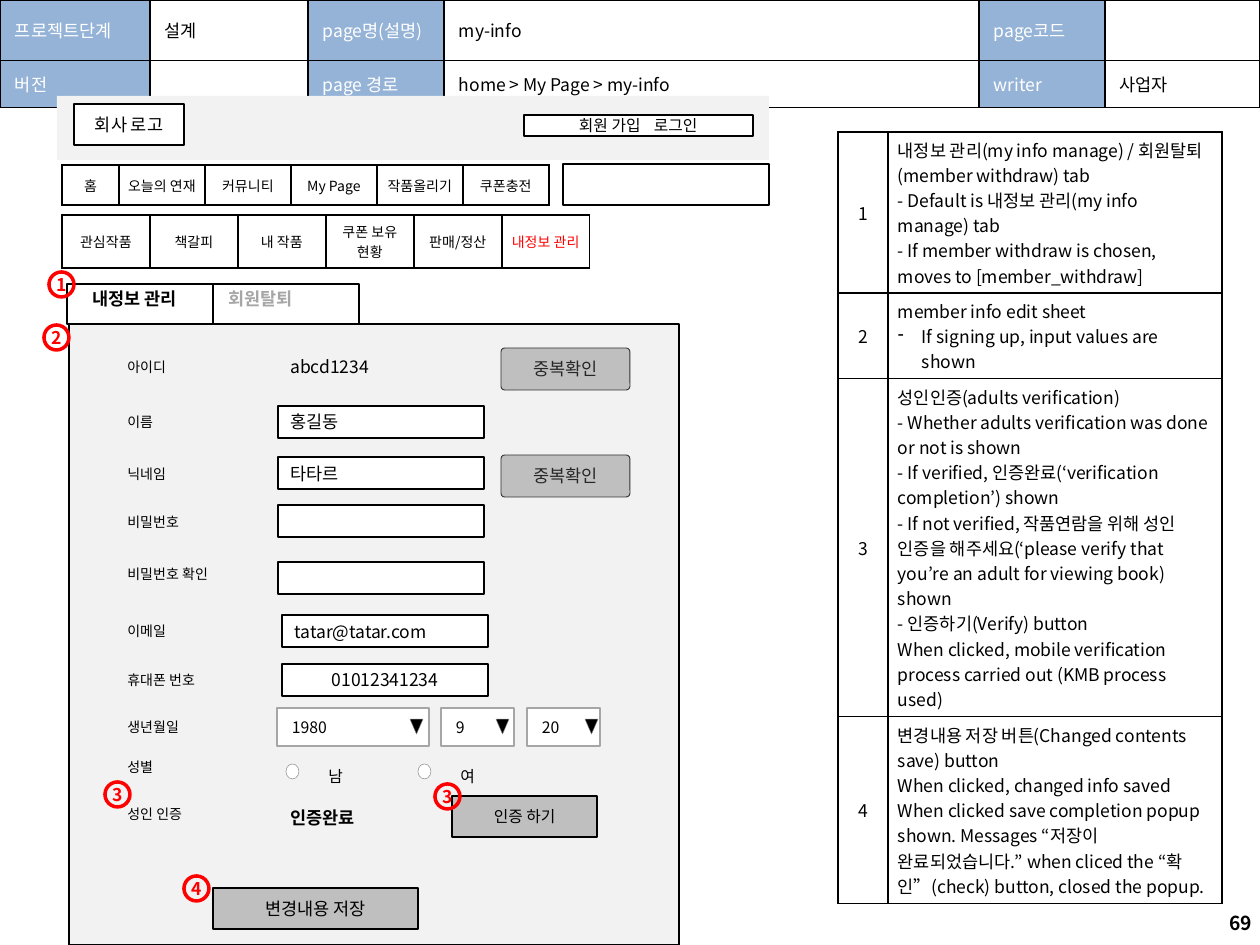
from lxml import etree
from pptx import Presentation
from pptx import util as u
from pptx.dml.color import RGBColor
from pptx.enum import shapes, text
from pptx.oxml import ns

SCALE = 914400 / 126
FONT = "Noto Sans CJK KR"
BLACK = RGBColor(0x00, 0x00, 0x00)
WHITE = RGBColor(0xFF, 0xFF, 0xFF)
RED = RGBColor(0xFF, 0x00, 0x00)
BLUE = RGBColor(0x95, 0xB3, 0xD7)
PANEL = RGBColor(0xF2, 0xF2, 0xF2)
BUTTON = RGBColor(0xBF, 0xBF, 0xBF)
MUTED = RGBColor(0xA6, 0xA6, 0xA6)
RADIO_LINE = RGBColor(0x80, 0x80, 0x80)
CHECK_LINE = RGBColor(0x33, 0x33, 0x33)
CHECK_TEXT = RGBColor(0x26, 0x26, 0x26)
LEFT, CENTER, RIGHT = (text.PP_ALIGN.LEFT, text.PP_ALIGN.CENTER, text.PP_ALIGN.RIGHT)
MIDDLE, TOP = text.MSO_ANCHOR.MIDDLE, text.MSO_ANCHOR.TOP
KIND = shapes.MSO_SHAPE

NOTES = [
    ["내정보 관리(my info manage) / 회원탈퇴(member withdraw) tab",
     "- Default is 내정보 관리(my info manage) tab",
     "- If member withdraw is chosen, moves to [member_withdraw]"],
    ["member info edit sheet", "If signing up, input values are shown"],
    ["성인인증(adults verification)",
     "- Whether adults verification was done or not is shown",
     "- If verified, 인증완료(‘verification completion’) shown",
     "- If not verified, 작품연람을 위해 성인 인증을 해주세요"
     "(‘please verify that you’re an adult for viewing book) shown",
     "- 인증하기(Verify) button",
     "When clicked, mobile verification process carried out (KMB process used)"],
    ["변경내용 저장 버튼(Changed contents save) button",
     "When clicked, changed info saved",
     "When clicked save completion popup shown. Messages “저장이 완료되었습니다.” "
     "when cliced the “확인”(check) button, closed the popup."],
]


def px(length):
    return u.Emu(round(length * SCALE))


def apply(target, values):
    for name, value in values.items():
        setattr(target, name, value)


def margins(across, down):
    return {"margin_left": px(across), "margin_right": px(across),
            "margin_top": px(down), "margin_bottom": px(down)}


def write(frame, lines, size=10, color=BLACK, bold=False, align=LEFT, latin=FONT, spacing=None):
    """Fill a text frame, one paragraph for each line."""
    lines = [lines] if isinstance(lines, str) else lines
    for index, line in enumerate(lines):
        paragraph = frame.add_paragraph() if index else frame.paragraphs[0]
        apply(paragraph, {"alignment": align, "line_spacing": spacing})
        if not line:
            etree.SubElement(paragraph._p, ns.qn("a:endParaRPr"), sz=str(size * 100))
            continue
        run = paragraph.add_run()
        run.text = line
        apply(run.font, {"size": u.Pt(size), "bold": bold, "name": latin})
        run.font.color.rgb = color
        etree.SubElement(run._r.get_or_add_rPr(), ns.qn("a:ea"), typeface=FONT)


def add_box(slide, box, lines="", kind=KIND.RECTANGLE, fill=WHITE, line=BLACK, width=1,
            frame_format=None, **style):
    shape = slide.shapes.add_shape(kind, *map(px, box))
    shape.shadow.inherit = False
    if fill is None:
        shape.fill.background()
    else:
        shape.fill.solid()
        shape.fill.fore_color.rgb = fill
    if line is None:
        shape.line.fill.background()
    else:
        shape.line.color.rgb = line
        shape.line.width = u.Pt(width)
    if lines:
        apply(shape.text_frame, {"word_wrap": True, "vertical_anchor": MIDDLE, **(frame_format or {})})
        write(shape.text_frame, lines, **style)
    return shape


def add_label(slide, box, lines, frame_format=None, **style):
    frame = slide.shapes.add_textbox(*map(px, box)).text_frame
    apply(frame, {"word_wrap": True, "vertical_anchor": MIDDLE, **(frame_format or {})})
    write(frame, lines, **style)


def add_grid(slide, left, top, widths, heights, cell_margins):
    """Add a table with plain black borders and return it."""
    box = (left, top, sum(widths), sum(heights))
    table = slide.shapes.add_table(len(heights), len(widths), *map(px, box)).table
    apply(table, {"first_row": False, "horz_banding": False})
    for column, width in zip(table.columns, widths):
        column.width = px(width)
    for row, height in zip(table.rows, heights):
        row.height = px(height)
    for cell in table.iter_cells():
        apply(cell, {**cell_margins, "vertical_anchor": MIDDLE})
        for side in ("lnL", "lnR", "lnT", "lnB"):
            border = etree.SubElement(cell._tc.get_or_add_tcPr(), ns.qn(f"a:{side}"), w="12700")
            solid = etree.SubElement(border, ns.qn("a:solidFill"))
            etree.SubElement(solid, ns.qn("a:srgbClr"), val=str(BLACK))
        cell.fill.background()
    return table


def add_page_header(slide, left, top):
    rows = [["프로젝트단계", "설계", "page명(설명)", "my-info", "page코드", ""],
            ["버전", "", "page 경로", "home > My Page > my-info", "writer", "사업자"]]
    table = add_grid(slide, left, top, [150, 158, 136, 535, 126, 155], [60, 47], margins(15, 5))
    for row, values in enumerate(rows):
        for column, value in enumerate(values):
            cell = table.cell(row, column)
            heading = column % 2 == 0
            if heading:
                cell.fill.solid()
                cell.fill.fore_color.rgb = BLUE
            write(cell.text_frame, value, color=WHITE if heading else BLACK)


def add_notes(slide, left, top):
    table = add_grid(slide, left, top, [50, 334], [161, 85, 338, 187], margins(10, 5))
    for row, lines in enumerate(NOTES):
        write(table.cell(row, 0).text_frame, str(row + 1), align=CENTER)
        write(table.cell(row, 1).text_frame, lines)
    properties = table.cell(1, 1).text_frame.paragraphs[1]._p.get_or_add_pPr()
    apply_indent = {"marL": px(24), "indent": px(-24)}
    for name, value in apply_indent.items():
        properties.set(name, str(value))
    etree.SubElement(properties, ns.qn("a:buChar"), char="-")


def add_menu(slide, left, top, widths, height, items, selected=None):
    table = add_grid(slide, left, top, widths, [height], margins(5, 6))
    for cell, item in zip(table.iter_cells(), items):
        cell.fill.solid()
        cell.fill.fore_color.rgb = WHITE
        write(cell.text_frame, item, size=8, align=CENTER, color=RED if item == selected else BLACK)


def add_site_header(slide, left, top):
    add_box(slide, (left, top, 712, 64), fill=PANEL, line=None)
    add_box(slide, (left + 17, top + 8, 110, 41), "회사 로고", align=CENTER)
    login = add_box(slide, (left + 467, top + 19, 229, 21), "회원 가입\t로그인", size=9,
                    frame_format={"margin_left": px(55), "margin_right": 0})
    properties = login.text_frame.paragraphs[0]._p.get_or_add_pPr()
    tabs = etree.SubElement(properties, ns.qn("a:tabLst"))
    etree.SubElement(tabs, ns.qn("a:tab"), pos=str(px(75)), algn="l")
    add_box(slide, (left + 506, top + 68, 206, 41))
    add_menu(slide, left + 5, top + 69, [57] + [86] * 5, 40,
             ["홈", "오늘의 연재", "커뮤니티", "My Page", "작품올리기", "쿠폰충전"])
    add_menu(slide, left + 5, top + 119, [88] * 6, 53,
             ["관심작품", "책갈피", "내 작품", ["쿠폰 보유", "현황"], "판매/정산", "내정보 관리"],
             selected="내정보 관리")


def add_tabs(slide, left, top):
    for offset, indent, name, color in [(0, 15, "내정보 관리", BLACK), (146, 5, "회원탈퇴", MUTED)]:
        add_box(slide, (left + offset, top, 146, 40), fill=None)
        add_label(slide, (left + offset + indent, top, 270, 29), name, margins(10, 5),
                  color=color, bold=True)


def add_form(slide, left, top):
    def at(x, y, width, height):
        return left + x, top + y, width, height

    add_box(slide, at(0, 0, 610, 621), fill=PANEL)
    labels = [("아이디", 28), ("이름", 83), ("닉네임", 135), ("비밀번호", 183), ("비밀번호 확인", 235),
              ("이메일", 292), ("휴대폰 번호", 341), ("생년월일", 388), ("성별", 428), ("성인 인증", 475)]
    for name, y in labels:
        add_label(slide, at(46, y, 238, 30), name, {"vertical_anchor": TOP}, size=8)
    fields = [("홍길동", 209, 82, LEFT), ("타타르", 209, 133, LEFT), ("", 209, 181, LEFT),
              ("", 209, 238, LEFT), ("tatar@tatar.com", 213, 291, LEFT),
              ("01012341234", 213, 340, CENTER)]
    for value, x, y, align in fields:
        add_box(slide, at(x, y, 206, 32), value, align=align)
    for value, y, bold in [("abcd1234", 26, False), ("인증완료", 477, True)]:
        add_label(slide, at(209, y, 206, 32), value, bold=bold)
    for y in (24, 131):
        button = add_box(slide, at(432, y, 129, 42), "중복확인", KIND.ROUNDED_RECTANGLE, BUTTON,
                         CHECK_LINE, 0.5, color=CHECK_TEXT, align=CENTER, latin="Calibri")
        button.adjustments[0] = 0.09
    for value, x, width, arrow in [("1980", 208, 152, 133), ("9", 372, 73, 55), ("20", 458, 73, 58)]:
        add_box(slide, at(x, 384, width, 38), value, line=MUTED, size=9, frame_format=margins(15, 0))
        triangle = add_box(slide, at(x + arrow, 395, 13, 15), kind=KIND.ISOSCELES_TRIANGLE,
                           fill=BLACK, line=RADIO_LINE, width=0.25)
        triangle.rotation = 180
    for value, x in [("남", 217), ("여", 349)]:
        add_box(slide, at(x, 440, 13, 15), kind=KIND.OVAL, line=RADIO_LINE, width=0.25)
        add_label(slide, at(x + 30, 427, 35, 38), value,
                  {"word_wrap": False, "vertical_anchor": TOP}, size=9, spacing=1.5)
    add_box(slide, at(383, 472, 145, 41), "인증 하기", fill=BUTTON, size=9, align=CENTER)
    add_box(slide, at(144, 564, 205, 41), "변경내용 저장", fill=BUTTON, align=CENTER)


def add_marker(slide, left, top, number):
    add_box(slide, (left, top, 25, 25), number, KIND.OVAL, None, RED, 2,
            margins(0, 0), color=RED, bold=True, align=CENTER)


def main():
    presentation = Presentation()
    apply(presentation, {"slide_width": px(1260), "slide_height": px(945)})
    slide = presentation.slides.add_slide(presentation.slide_layouts[6])
    add_page_header(slide, 0, 0)
    add_notes(slide, 838, 132)
    add_label(slide, (971, 898, 289, 50), "69", {"margin_right": px(8)},
              size=11, bold=True, align=RIGHT)
    add_form(slide, 69, 324)
    add_site_header(slide, 57, 96)
    add_tabs(slide, 67, 284)
    for left, top, number in [(49, 272, "1"), (44, 325, "2"), (105, 782, "3"),
                              (435, 784, "3"), (184, 876, "4")]:
        add_marker(slide, left, top, number)
    presentation.save("out.pptx")


if __name__ == "__main__":
    main()
